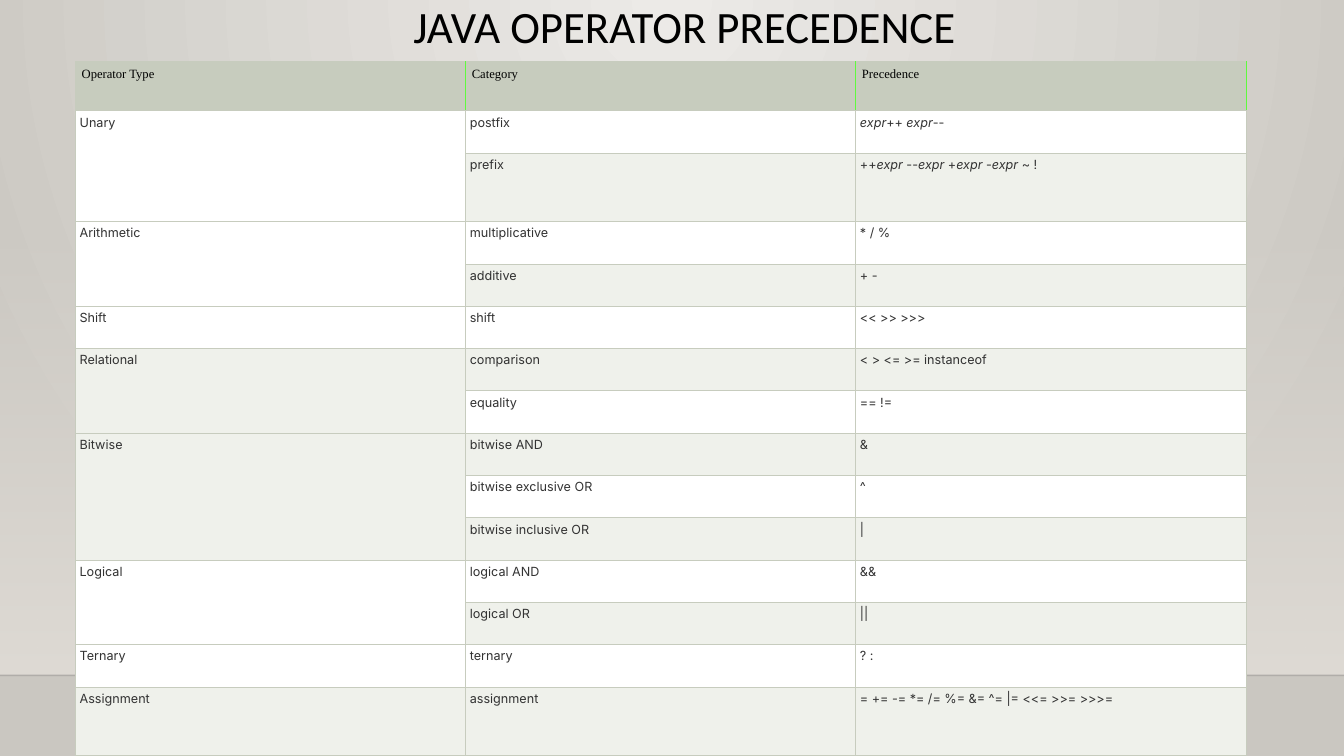
"""Build a slide with a table of Java operator precedence."""
import dataclasses
import typing

import lxml.etree
import pptx
import pptx.dml.color
import pptx.enum.shapes
import pptx.enum.text
import pptx.oxml.ns
import pptx.presentation
import pptx.shapes.autoshape
import pptx.slide
import pptx.table
import pptx.text.text
import pptx.util

EMU_PER_PX = 9144


@dataclasses.dataclass(frozen=True)
class Theme:
    centre: str = "ECEAE7"
    edge: str = "CAC7C1"
    wall: str = "DFDBD5"
    floor_line: str = "000001"
    black: str = "000000"
    ink: str = "333333"
    sage: str = "C7CCBE"
    lime: str = "60FA3F"
    bands: tuple[str, str] = ("EFF1EB", "FFFFFF")
    title_font: str = "Calibri"
    header_font: str = "Times New Roman"
    body_font: str = "Inter"
    title_size: int = 32
    table_size: int = 9
    border: float = 0.75


class Level(typing.NamedTuple):
    category: str
    operators: str


class Group(typing.NamedTuple):
    name: str
    levels: list[Level]


class Style(typing.NamedTuple):
    font: str
    size: int
    color: str


THEME = Theme()
TITLE = Style(THEME.title_font, THEME.title_size, THEME.black)
HEADER = Style(THEME.header_font, THEME.table_size, THEME.black)
BODY = Style(THEME.body_font, THEME.table_size, THEME.ink)
HEADINGS = ("Operator Type", "Category", "Precedence")
VARIABLE = "expr"
GROUPS = [
    Group("Unary", [Level("postfix", "expr++ expr--"),
                    Level("prefix", "++expr --expr +expr -expr ~ !")]),
    Group("Arithmetic", [Level("multiplicative", "* / %"), Level("additive", "+ -")]),
    Group("Shift", [Level("shift", "<< >> >>>")]),
    Group("Relational", [Level("comparison", "< > <= >= instanceof"),
                         Level("equality", "== !=")]),
    Group("Bitwise", [Level("bitwise AND", "&"), Level("bitwise exclusive OR", "^"),
                      Level("bitwise inclusive OR", "|")]),
    Group("Logical", [Level("logical AND", "&&"), Level("logical OR", "||")]),
    Group("Ternary", [Level("ternary", "? :")]),
    Group("Assignment", [Level("assignment", "= += -= *= /= %= &= ^= |= <<= >>= >>>=")]),
]
HEADER_HEIGHT, ROW_HEIGHT, TALL_HEIGHT = 49, 42, 68
TALL_ROWS = (2, 14)


def px(length: int) -> pptx.util.Emu:
    return pptx.util.Emu(length * EMU_PER_PX)


def rgb(color: str) -> pptx.dml.color.RGBColor:
    return pptx.dml.color.RGBColor.from_string(color)


def add_element(parent: typing.Any, tag: str, **attributes: str) -> typing.Any:
    return lxml.etree.SubElement(parent, pptx.oxml.ns.qn(tag), attributes)


def set_alpha(owner: typing.Any, percent: int) -> None:
    color = next(owner.iter(pptx.oxml.ns.qn("a:srgbClr")))
    add_element(color, "a:alpha", val=str(percent * 1000))


def set_gradient(fill: typing.Any, first: str, last: str) -> None:
    fill.gradient()
    for stop, color in zip(fill.gradient_stops, (first, last)):
        stop.color.rgb = rgb(color)


def add_span(para: typing.Any, text: str, style: Style, italic: bool = False) -> None:
    span = para.add_run()
    span.text = text
    span.font.name = style.font
    span.font.size = pptx.util.Pt(style.size)
    span.font.color.rgb = rgb(style.color)
    span.font.bold = False
    span.font.italic = italic


def paint_background(slide: pptx.slide.Slide) -> None:
    set_gradient(slide.background.fill, THEME.centre, THEME.edge)
    gradient = next(slide.background._cSld.iter(pptx.oxml.ns.qn("a:gradFill")))
    gradient.remove(gradient.find(pptx.oxml.ns.qn("a:lin")))
    circle = add_element(gradient, "a:path", path="circle")
    add_element(circle, "a:fillToRect", l="43000", t="0", r="43000", b="100000")


def add_wall(slide: pptx.slide.Slide) -> None:
    wall = slide.shapes.add_shape(
        pptx.enum.shapes.MSO_SHAPE.RECTANGLE, 0, px(221), px(1333), px(449))
    wall.shadow.inherit = False
    wall.line.fill.background()
    set_gradient(wall.fill, THEME.wall, THEME.wall)
    wall.fill.gradient_angle = 270
    set_alpha(wall._element.spPr, 0)
    edge = slide.shapes.add_connector(
        pptx.enum.shapes.MSO_CONNECTOR.STRAIGHT, 0, px(670), px(1333), px(670))
    edge.line.color.rgb = rgb(THEME.floor_line)
    edge.line.width = pptx.util.Pt(1)
    set_alpha(edge._element.spPr, 20)
    add_element(edge._element.spPr, "a:effectLst")


def add_title(slide: pptx.slide.Slide) -> None:
    title = slide.shapes.title
    title.left, title.top, title.width, title.height = px(154), 0, px(1050), px(115)
    frame = title.text_frame
    frame.word_wrap = True
    frame.auto_size = pptx.enum.text.MSO_AUTO_SIZE.NONE
    frame.vertical_anchor = pptx.enum.text.MSO_ANCHOR.TOP
    para = frame.paragraphs[0]
    para.alignment = pptx.enum.text.PP_ALIGN.CENTER
    para.line_spacing = 0.9
    add_span(para, "JAVA OPERATOR PRECEDENCE", TITLE)


def format_cell(cell: typing.Any, fill: str, inset: int,
                left: str = THEME.sage, right: str = THEME.sage) -> None:
    cell.margin_left = cell.margin_right = px(inset)
    cell.margin_top = cell.margin_bottom = px(inset)
    properties = cell._tc.get_or_add_tcPr()
    sides = {"a:lnL": left, "a:lnR": right, "a:lnT": THEME.sage, "a:lnB": THEME.sage}
    for tag, color in sides.items():
        line = add_element(properties, tag, w=str(pptx.util.Pt(THEME.border)))
        add_element(add_element(line, "a:solidFill"), "a:srgbClr", val=color)
    cell.fill.solid()
    cell.fill.fore_color.rgb = rgb(fill)


def write_body(cell: typing.Any, text: str) -> None:
    para = cell.text_frame.paragraphs[0]
    para.alignment = pptx.enum.text.PP_ALIGN.JUSTIFY
    for index, symbols in enumerate(text.split(VARIABLE)):
        if index:
            add_span(para, VARIABLE, BODY, italic=True)
        if symbols:
            add_span(para, symbols, BODY)


def add_precedence_table(slide: pptx.slide.Slide) -> None:
    row_count = 1 + sum(len(group.levels) for group in GROUPS)
    frame = slide.shapes.add_table(
        row_count, len(HEADINGS), px(75), px(61), px(1161), px(689))
    table = frame.table
    table.first_row = table.horz_banding = False
    for column in table.columns:
        column.width = px(387)
    for index, row in enumerate(table.rows):
        row.height = px(TALL_HEIGHT if index in TALL_ROWS else ROW_HEIGHT)
    table.rows[0].height = px(HEADER_HEIGHT)
    for column, heading in enumerate(HEADINGS):
        cell = table.cell(0, column)
        format_cell(cell, THEME.sage, 6, THEME.lime if column else THEME.sage, THEME.lime)
        add_span(cell.text_frame.paragraphs[0], heading, HEADER)
    top = 1
    for group in GROUPS:
        for row, level in enumerate(group.levels, top):
            format_cell(table.cell(row, 0), THEME.bands[top % 2], 4)
            for column, text in enumerate(level, 1):
                format_cell(table.cell(row, column), THEME.bands[row % 2], 4)
                write_body(table.cell(row, column), text)
        write_body(table.cell(top, 0), group.name)
        if len(group.levels) > 1:
            table.cell(top, 0).merge(table.cell(top + len(group.levels) - 1, 0))
        top += len(group.levels)


def main() -> None:
    deck = pptx.Presentation()
    deck.slide_width, deck.slide_height = px(1333), px(750)
    slide = deck.slides.add_slide(deck.slide_layouts.get_by_name("Title Only"))
    paint_background(slide)
    add_wall(slide)
    add_title(slide)
    add_precedence_table(slide)
    deck.save("out.pptx")


if __name__ == "__main__":
    main()
